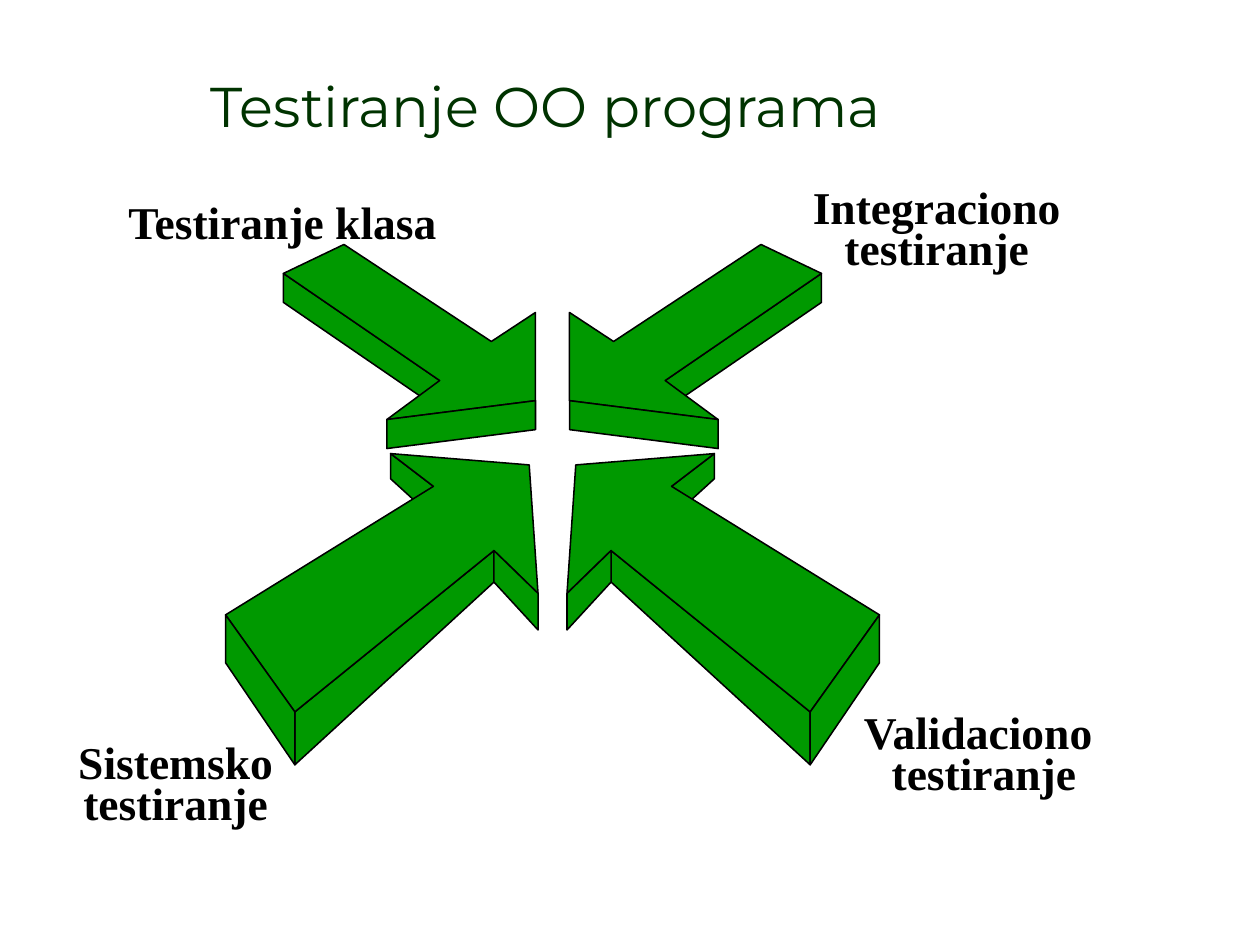
from dataclasses import dataclass
from typing import Any

from pptx import Presentation
from pptx.dml.color import RGBColor
from pptx.enum.text import MSO_ANCHOR, MSO_AUTO_SIZE, PP_ALIGN
from pptx.util import Inches, Pt

LEFT, CENTER = PP_ALIGN.LEFT, PP_ALIGN.CENTER
BOTTOM, TOP = MSO_ANCHOR.BOTTOM, MSO_ANCHOR.TOP
FIT_SHAPE = MSO_AUTO_SIZE.SHAPE_TO_FIT_TEXT
TITLE_ONLY = 5
COLUMNS, ROWS = 10, 7.5
MIRROR_AXIS = 4.385

UPPER_ARROW = [
    [(2.25, 2.17), (3.49, 3.02), (3.49, 3.25), (2.25, 2.4)],
    [(2.25, 2.17), (2.73, 1.94), (3.9, 2.71), (4.25, 2.48),
     (4.25, 3.18), (3.07, 3.33), (3.49, 3.02)],
    [(3.07, 3.33), (4.25, 3.18), (4.25, 3.41), (3.07, 3.56)],
]
LOWER_ARROW = [
    [(2.34, 5.65), (2.34, 6.07), (3.92, 4.62), (3.92, 4.37)],
    [(3.44, 3.86), (3.44, 4.11), (3.1, 3.8), (3.1, 3.6)],
    [(1.79, 4.88), (3.44, 3.86), (3.1, 3.6), (4.2, 3.69),
     (4.27, 4.71), (3.92, 4.37), (2.34, 5.65)],
    [(1.79, 4.88), (2.34, 5.65), (2.34, 6.07), (1.79, 5.26)],
    [(3.92, 4.37), (3.92, 4.62), (4.27, 5), (4.27, 4.71)],
]
LABELS = [
    (["Testiranje klasa"], (0.91, 1.49, 2.7, 0.54), LEFT, 1.0),
    (["Integraciono", "testiranje"], (6.34, 1.47, 2.19, 0.76), CENTER, 0.75),
    (["Validaciono ", "testiranje"], (6.73, 5.64, 2.16, 0.76), CENTER, 0.75),
    (["Sistemsko", "testiranje"], (0.51, 5.88, 1.77, 0.76), CENTER, 0.75),
]


def color(value):
    return RGBColor.from_string(value)


def apply(target, values):
    for name, value in values.items():
        setattr(target, name, value)


def mirrored(faces):
    return [[(2 * MIRROR_AXIS - column, row) for column, row in face] for face in faces]


@dataclass
class SlideBuilder:
    presentation: Any
    slide: Any
    arrow_fill: str = "009900"
    outline: str = "000000"
    outline_width: float = 0.88
    title_color: str = "003300"
    title_font: str = "Montserrat"
    label_color: str = "000000"
    label_font: str = "Times New Roman"

    def point(self, column, row):
        return (round(self.presentation.slide_width * column / COLUMNS),
                round(self.presentation.slide_height * row / ROWS))

    def place(self, shape, box):
        left, top = self.point(*box[:2])
        width, height = self.point(*box[2:])
        apply(shape, {"left": left, "top": top, "width": width, "height": height})

    def set_text(self, shape, lines, frame_format, paragraph_format, font_format, font_color):
        frame = shape.text_frame
        frame.text = "\n".join(lines)
        apply(frame, frame_format)
        for paragraph in frame.paragraphs:
            apply(paragraph, paragraph_format)
            apply(paragraph.font, font_format)
            paragraph.font.color.rgb = color(font_color)

    def title(self, text, box):
        shape = self.slide.shapes.title
        self.place(shape, box)
        self.set_text(shape, [text],
                      {"vertical_anchor": BOTTOM, "auto_size": FIT_SHAPE, "word_wrap": True},
                      {"alignment": CENTER},
                      {"name": self.title_font, "size": Pt(32)}, self.title_color)

    def label(self, lines, box, alignment, spacing):
        shape = self.slide.shapes.add_textbox(0, 0, 0, 0)
        self.place(shape, box)
        self.set_text(shape, lines,
                      {"vertical_anchor": TOP, "auto_size": FIT_SHAPE, "word_wrap": False,
                       "margin_left": Inches(0.11), "margin_right": Inches(0.11)},
                      {"alignment": alignment, "line_spacing": spacing},
                      {"name": self.label_font, "size": Pt(26), "bold": True},
                      self.label_color)

    def arrow(self, faces):
        group = self.slide.shapes.add_group_shape()
        for face in faces:
            start, *corners = [self.point(*corner) for corner in face]
            builder = group.shapes.build_freeform(*start)
            builder.add_line_segments(corners, close=True)
            shape = builder.convert_to_shape()
            shape.shadow.inherit = False
            shape.fill.solid()
            shape.fill.fore_color.rgb = color(self.arrow_fill)
            shape.line.color.rgb = color(self.outline)
            shape.line.width = Pt(self.outline_width)


def main():
    presentation = Presentation()
    apply(presentation, {"slide_width": Inches(10), "slide_height": Inches(7.5)})
    slide = presentation.slides.add_slide(presentation.slide_layouts[TITLE_ONLY])
    builder = SlideBuilder(presentation, slide)
    builder.title("Testiranje OO programa", (0.25, 0.52, 8.17, 0.63))
    for faces in (UPPER_ARROW, LOWER_ARROW):
        builder.arrow(faces)
        builder.arrow(mirrored(faces))
    for label in LABELS:
        builder.label(*label)
    presentation.save("out.pptx")


if __name__ == "__main__":
    main()
